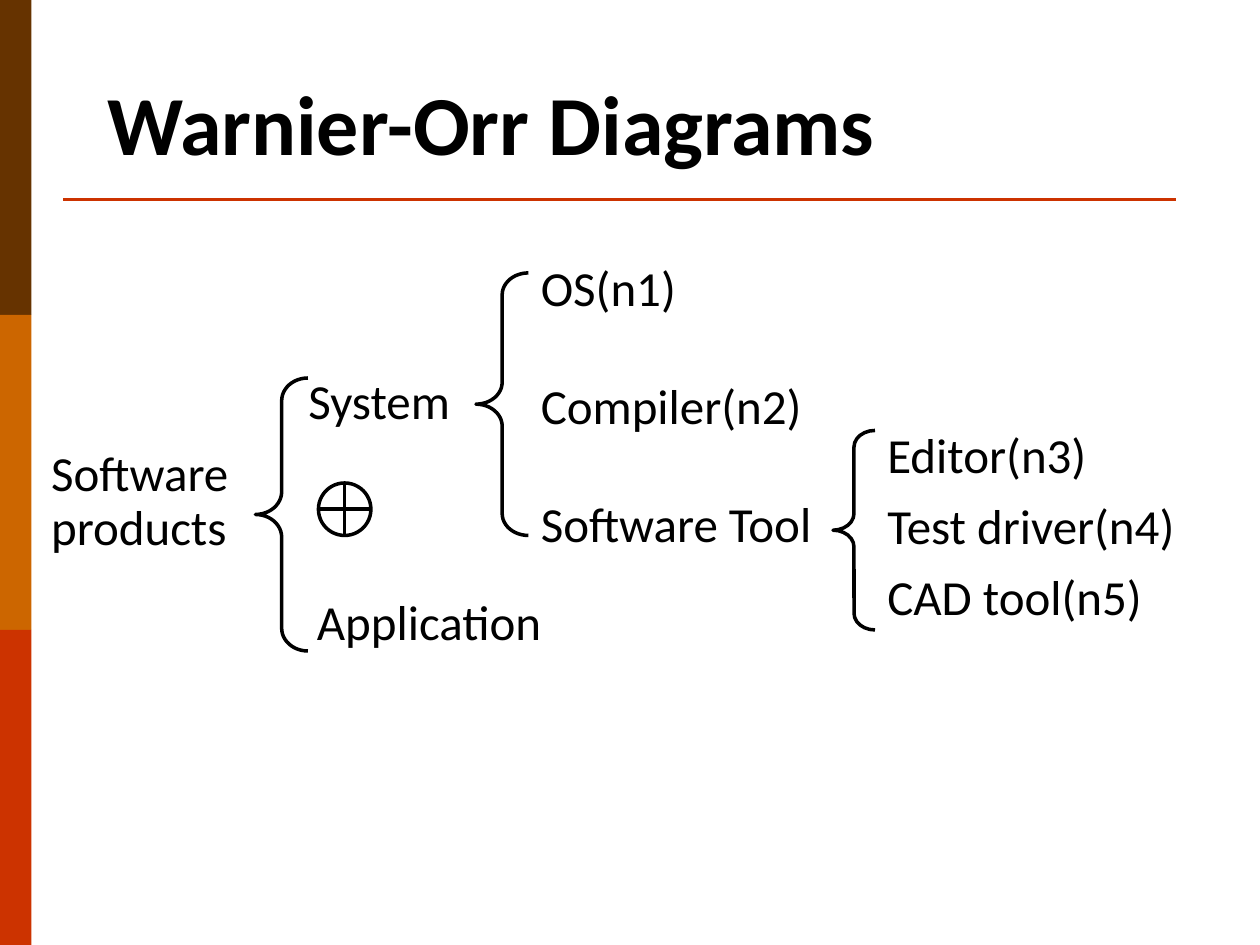
from dataclasses import dataclass

import pptx
import pptx.dml.color
import pptx.enum.shapes
import pptx.enum.text
import pptx.oxml
import pptx.oxml.ns
import pptx.util

RGBColor = pptx.dml.color.RGBColor
MSO_SHAPE = pptx.enum.shapes.MSO_SHAPE
MSO_ANCHOR = pptx.enum.text.MSO_ANCHOR
MSO_AUTO_SIZE = pptx.enum.text.MSO_AUTO_SIZE

BLACK = RGBColor(0x00, 0x00, 0x00)
BROWN = RGBColor(0x66, 0x33, 0x00)
ORANGE = RGBColor(0xCC, 0x66, 0x00)
RED = RGBColor(0xCC, 0x33, 0x00)
FONT = "Calibri"
COLUMNS, ROWS = 120, 90  # grid cells of 1/12 inch


@dataclass(frozen=True)
class Area:
    """A rectangle in grid columns and rows."""
    column: float
    row: float
    columns: float
    rows: float

    def lengths(self) -> tuple:
        return tuple(grid(value) for value in
                     (self.column, self.row, self.columns, self.rows))


@dataclass(frozen=True)
class Label:
    area: Area
    lines: tuple[str, ...]
    line_spacing: float = 1.0
    space_before: float = 7
    wrap: bool = False


STRIPES = (BROWN, ORANGE, RED)
BRACES = (
    Area(24.33, 36, 5, 26),
    Area(45.33, 26, 5, 25),
    Area(79.33, 41, 4, 19),
)
LABELS = (
    Label(Area(3.7, 43.1, 19.4, 10.2), ("Software", "products"), line_spacing=0.7),
    Label(Area(28.2, 34.7, 16.1, 6.9), ("System",)),
    Label(Area(29, 55.7, 23.9, 6.9), ("Application",)),
    Label(Area(50.33, 25, 31, 28.3), ("OS(n1)", "Compiler(n2)", "Software Tool"),
          line_spacing=0.8, space_before=40.5, wrap=True),
    Label(Area(83.33, 39.8, 30.2, 20.4),
          ("Editor(n3)", "Test driver(n4)", "CAD tool(n5)")),
)


def grid(cells: float) -> pptx.util.Length:
    return pptx.util.Inches(cells * 10 / COLUMNS)


def write_text(frame, *lines: str, size: float = 28, bold: bool = False,
               line_spacing: float = 1.0, space_before: float = 0) -> None:
    """Fill a text frame, one paragraph a line."""
    for index, line in enumerate(lines):
        paragraph = frame.paragraphs[0] if index == 0 else frame.add_paragraph()
        paragraph.alignment = pptx.enum.text.PP_ALIGN.LEFT
        paragraph.line_spacing = line_spacing
        paragraph.space_before = pptx.util.Pt(space_before if index else 0)
        run = paragraph.add_run()
        run.text = line
        run.font.name = FONT
        run.font.size = pptx.util.Pt(size)
        run.font.bold = bold
        run.font.color.rgb = BLACK


def add_stripe(slide, area: Area, color: RGBColor) -> None:
    shape = slide.shapes.add_shape(MSO_SHAPE.RECTANGLE, *area.lengths())
    shape.shadow.inherit = False
    shape.fill.solid()
    shape.fill.fore_color.rgb = color
    shape.line.fill.background()


def add_outline(slide, kind: MSO_SHAPE, area: Area):
    shape = slide.shapes.add_shape(kind, *area.lengths())
    shape.shadow.inherit = False
    shape.fill.background()
    shape.line.color.rgb = BLACK
    shape.line.width = pptx.util.Pt(2)
    return shape


def add_brace(slide, area: Area) -> None:
    brace = add_outline(slide, MSO_SHAPE.LEFT_BRACE, area)
    # The curves take a twelfth of the height each
    brace.adjustments[0] = area.rows / 12 / area.columns


def add_label(slide, label: Label) -> None:
    frame = slide.shapes.add_textbox(*label.area.lengths()).text_frame
    frame.word_wrap = label.wrap
    frame.auto_size = MSO_AUTO_SIZE.SHAPE_TO_FIT_TEXT
    write_text(frame, *label.lines, line_spacing=label.line_spacing,
               space_before=label.space_before)


def add_title(slide, text: str) -> None:
    title = slide.shapes.title
    title.left, title.top, title.width, title.height = Area(9, 2, 102, 15).lengths()
    frame = title.text_frame
    frame.vertical_anchor = MSO_ANCHOR.BOTTOM
    frame.auto_size = MSO_AUTO_SIZE.NONE
    write_text(frame, text, size=48, bold=True)


def add_rule(slide, first: float, last: float, row: float) -> None:
    rule = slide.shapes.add_connector(
        pptx.enum.shapes.MSO_CONNECTOR.STRAIGHT,
        grid(first), grid(row), grid(last), grid(row))
    rule.line.color.rgb = RED
    rule.line.width = pptx.util.Pt(1.5)
    properties = rule.element.find(pptx.oxml.ns.qn("p:spPr"))
    properties.append(pptx.oxml.parse_xml(
        f"<a:effectLst {pptx.oxml.ns.nsdecls('a')}/>"))


def main() -> None:
    presentation = pptx.Presentation()
    presentation.slide_width = grid(COLUMNS)
    presentation.slide_height = grid(ROWS)
    slide = presentation.slides.add_slide(presentation.slide_layouts[5])

    # Side stripes, title and rule
    stripe_rows = ROWS / len(STRIPES)
    for index, color in enumerate(STRIPES):
        add_stripe(slide, Area(0, index * stripe_rows, 3, stripe_rows), color)
    add_title(slide, "Warnier-Orr Diagrams")
    add_rule(slide, 6, 112, 19)

    # Diagram: braces, labels and the exclusive-or sign
    for area in BRACES:
        add_brace(slide, area)
    for label in LABELS:
        add_label(slide, label)
    add_outline(slide, MSO_SHAPE.FLOWCHART_OR, Area(30.33, 46, 5, 5))

    presentation.save("out.pptx")


if __name__ == "__main__":
    main()
